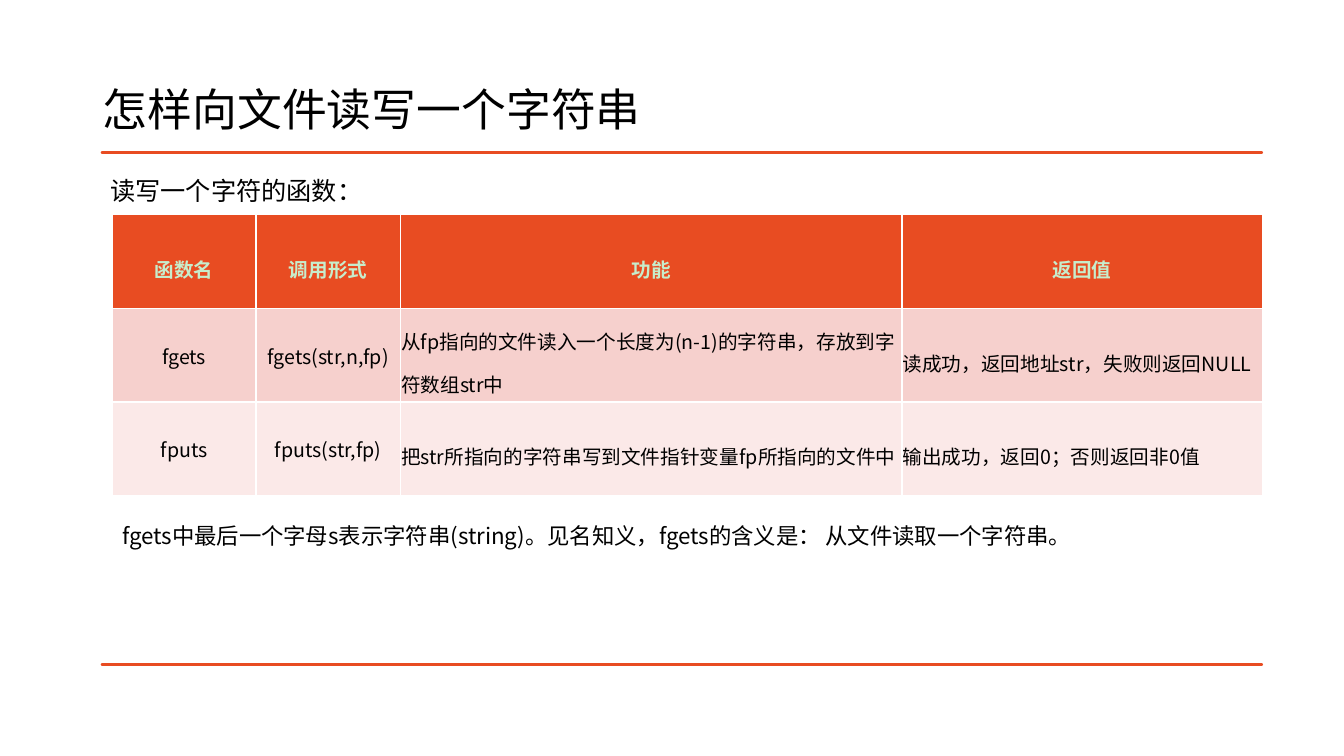
from collections import namedtuple
from dataclasses import dataclass

from lxml.etree import SubElement
from pptx import Presentation
from pptx.dml.color import RGBColor
from pptx.enum.text import MSO_ANCHOR as Anchor, PP_ALIGN as Align
from pptx.oxml.ns import qn
from pptx.util import Cm, Pt

Box = namedtuple("Box", "left top width height")


@dataclass(frozen=True)
class Theme:
    font: str = "Noto Sans CJK SC"
    ink: str = "000000"
    accent: str = "E84C22"
    paper: str = "FFFFFF"
    header_ink: str = "C7EDCC"
    bands: tuple = ("F6D0CD", "FBE9E8")
    title_size: int = 32
    intro_size: int = 18
    note_size: int = 16
    table_size: int = 14
    rule_width: int = 2


THEME = Theme()

FUNCTIONS = [
    ("函数名", "调用形式", "功能", "返回值"),
    ("fgets", "fgets(str,n,fp)",
     "从fp指向的文件读入一个长度为(n-1)的字符串，存放到字符数组str中",
     "读成功，返回地址str，失败则返回NULL"),
    ("fputs", "fputs(str,fp)",
     "把str所指向的字符串写到文件指针变量fp所指向的文件中",
     "输出成功，返回0；否则返回非0值"),
]


def cm_box(box):
    return [Cm(length) for length in box]


def write(frame, text, size, color=THEME.ink, bold=False, align=Align.LEFT, spacing=1.5):
    frame.text = text
    frame.word_wrap = True
    para = frame.paragraphs[0]
    para.alignment = align
    para.line_spacing = spacing
    for span in para.runs:
        span.font.name = THEME.font
        span.font.size = Pt(size)
        span.font.bold = bold
        span.font.color.rgb = RGBColor.from_string(color)
        SubElement(span.font._element, qn("a:ea"), typeface=THEME.font)


def add_title(page, box, text):
    title = page.shapes.title
    title.left, title.top, title.width, title.height = cm_box(box)
    title.text_frame.vertical_anchor = Anchor.MIDDLE
    write(title.text_frame, text, THEME.title_size, spacing=0.9)


def add_ruled_frame(page, box, text):
    """Outline the content area by its bottom and top lines, with text at the top."""
    left, right = Cm(box.left), Cm(box.left + box.width)
    top, bottom = Cm(box.top), Cm(box.top + box.height)
    outline = page.shapes.build_freeform(left, bottom)
    outline.add_line_segments([(right, bottom)], close=True)
    outline.move_to(left, top)
    outline.add_line_segments([(right, top)], close=True)
    ruled = outline.convert_to_shape()
    ruled.shadow.inherit = False
    ruled.fill.background()
    ruled.line.color.rgb = RGBColor.from_string(THEME.accent)
    ruled.line.width = Pt(THEME.rule_width)
    frame = ruled.text_frame
    frame.vertical_anchor = Anchor.TOP
    frame.margin_left = frame.margin_right = Cm(0.21)
    frame.margin_top = frame.margin_bottom = Cm(0.2)
    write(frame, text, THEME.intro_size, align=Align.JUSTIFY)


def add_function_table(page, box, rows):
    widths = (3.62, 3.64, 12.64, 9.08)
    table = page.shapes.add_table(len(rows), len(widths), *cm_box(box)).table
    for column, width in zip(table.columns, widths):
        column.width = Cm(width)
    for r, texts in enumerate(rows):
        header = r == 0
        fill = THEME.accent if header else THEME.bands[r - 1]
        for c, text in enumerate(texts):
            cell = table.cell(r, c)
            name_column = c < 2
            cell.vertical_anchor = Anchor.MIDDLE
            cell.margin_left = cell.margin_right = cell.margin_top = Cm(0.02)
            cell.margin_bottom = 0
            cell.fill.solid()
            cell.fill.fore_color.rgb = RGBColor.from_string(fill)
            write(cell.text_frame, text, THEME.table_size,
                  color=THEME.header_ink if header else THEME.ink,
                  bold=header,
                  align=Align.CENTER if header or name_column else Align.LEFT,
                  spacing=1.0 if name_column and not header else 1.5)


def add_note(page, box, text):
    note = page.shapes.add_textbox(*cm_box(box))
    write(note.text_frame, text, THEME.note_size)


def build_string_io_slide(deck, box):
    page = deck.slides.add_slide(deck.slide_layouts[5])
    page.background.fill.solid()
    page.background.fill.fore_color.rgb = RGBColor.from_string(THEME.paper)

    # Title
    add_title(page, Box(box.left - 0.23, box.top - 2.85, box.width, 3.68),
              "怎样向文件读写一个字符串")

    # Ruled content area with its introduction
    add_ruled_frame(page, box, "读写一个字符的函数：")

    # Function table and closing note
    inner = box.left + 0.26
    add_function_table(page, Box(inner, box.top + 1.57, 28.98, 7.08), FUNCTIONS)
    add_note(page, Box(inner, box.top + 8.86, 28.98, 1.17),
             "fgets中最后一个字母s表示字符串(string)。见名知义，"
             "fgets的含义是： 从文件读取一个字符串。")


def main():
    deck = Presentation()
    deck.slide_width, deck.slide_height = Cm(33.87), Cm(19.05)
    build_string_io_slide(deck, Box(2.57, 3.84, 29.23, 12.9))
    deck.save("out.pptx")


if __name__ == "__main__":
    main()
